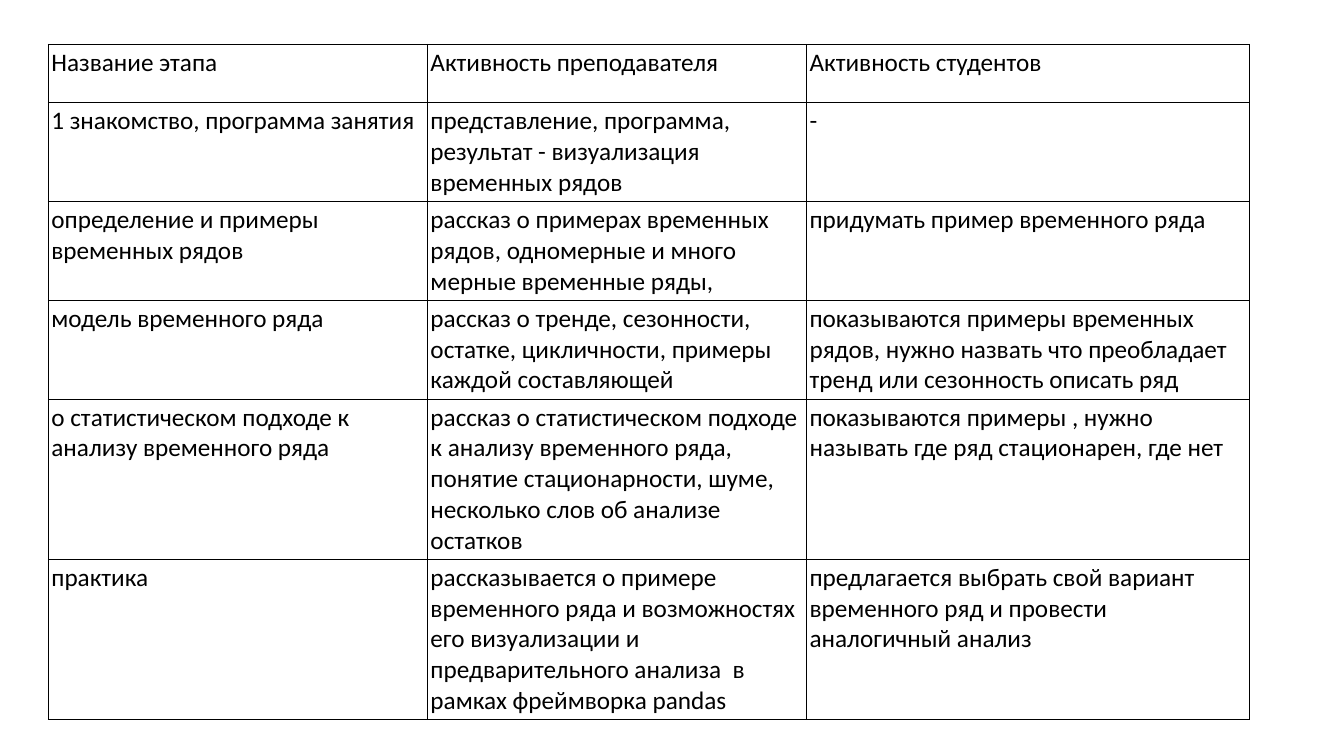
from pptx import Presentation
from pptx.dml.color import RGBColor
from pptx.enum.text import MSO_ANCHOR
from pptx.oxml.ns import qn
from pptx.util import Inches, Pt
from lxml import etree

TOP = MSO_ANCHOR.TOP
COLORS = {"text": "000000", "border": "000000"}
TEXT_FORMAT = {"name": "Calibri", "size": Pt(18), "bold": False}
CELL_FORMAT = {
    "margin_left": Inches(0.03),
    "margin_top": Inches(0.03),
    "margin_right": Inches(0.03),
    "margin_bottom": Inches(0.03),
    "vertical_anchor": TOP,
}
PLAIN_STYLE = {"first_row": False, "horz_banding": False}

COLUMN_WIDTHS = [3.76, 3.76, 4.39]
ROW_HEIGHTS = [0.58, 0.98, 0.98, 0.98, 1.59, 1.59]
LESSON_PLAN = [
    ("Название этапа", "Активность преподавателя", "Активность студентов"),
    ("1 знакомство, программа занятия",
     "представление, программа, результат - визуализация временных рядов",
     "-"),
    ("определение и примеры временных рядов",
     "рассказ о примерах временных рядов, одномерные и много мерные временные ряды,",
     "придумать пример временного ряда"),
    ("модель временного ряда",
     "рассказ о тренде, сезонности, остатке, цикличности, примеры каждой составляющей",
     "показываются примеры временных рядов, нужно назвать что преобладает "
     "тренд или сезонность описать ряд"),
    ("о статистическом подходе к анализу временного ряда",
     "рассказ о статистическом подходе к анализу временного ряда, понятие "
     "стационарности, шуме, несколько слов об анализе остатков",
     "показываются примеры , нужно называть где ряд стационарен, где нет"),
    ("практика",
     "рассказывается о примере временного ряда и возможностях его визуализации и "
     "предварительного анализа  в рамках фреймворка pandas",
     "предлагается выбрать свой вариант временного ряд и провести аналогичный анализ"),
]


def apply_format(target, values):
    for attribute, value in values.items():
        setattr(target, attribute, value)


def add_borders(cell):
    # Border lines come before the fill in the cell properties
    properties = cell._tc.get_or_add_tcPr()
    for position, side in enumerate(("lnL", "lnR", "lnT", "lnB")):
        border = etree.Element(qn(f"a:{side}"), w=str(Pt(1)))
        fill = etree.SubElement(border, qn("a:solidFill"))
        etree.SubElement(fill, qn("a:srgbClr"), val=COLORS["border"])
        properties.insert(position, border)


def fill_cell(cell, text):
    apply_format(cell, CELL_FORMAT)
    cell.fill.background()
    add_borders(cell)
    cell.text = text
    font = cell.text_frame.paragraphs[0].runs[0].font
    apply_format(font, TEXT_FORMAT)
    font.color.rgb = RGBColor.from_string(COLORS["text"])


def add_plan_table(slide, left, top):
    plan = slide.shapes.add_table(
        len(ROW_HEIGHTS), len(COLUMN_WIDTHS), Inches(left), Inches(top),
        Inches(sum(COLUMN_WIDTHS)), Inches(sum(ROW_HEIGHTS))).table
    apply_format(plan, PLAIN_STYLE)
    for column, width in zip(plan.columns, COLUMN_WIDTHS):
        column.width = Inches(width)
    for row, height, stage in zip(plan.rows, ROW_HEIGHTS, LESSON_PLAN):
        row.height = Inches(height)
        for cell, text in zip(row.cells, stage):
            fill_cell(cell, text)


def main():
    presentation = Presentation()
    presentation.slide_width = Inches(13.33)
    presentation.slide_height = Inches(7.5)
    slide = presentation.slides.add_slide(presentation.slide_layouts[6])

    # Lesson stages with teacher and student activities
    add_plan_table(slide, 0.48, 0.44)

    presentation.save("out.pptx")


if __name__ == "__main__":
    main()
